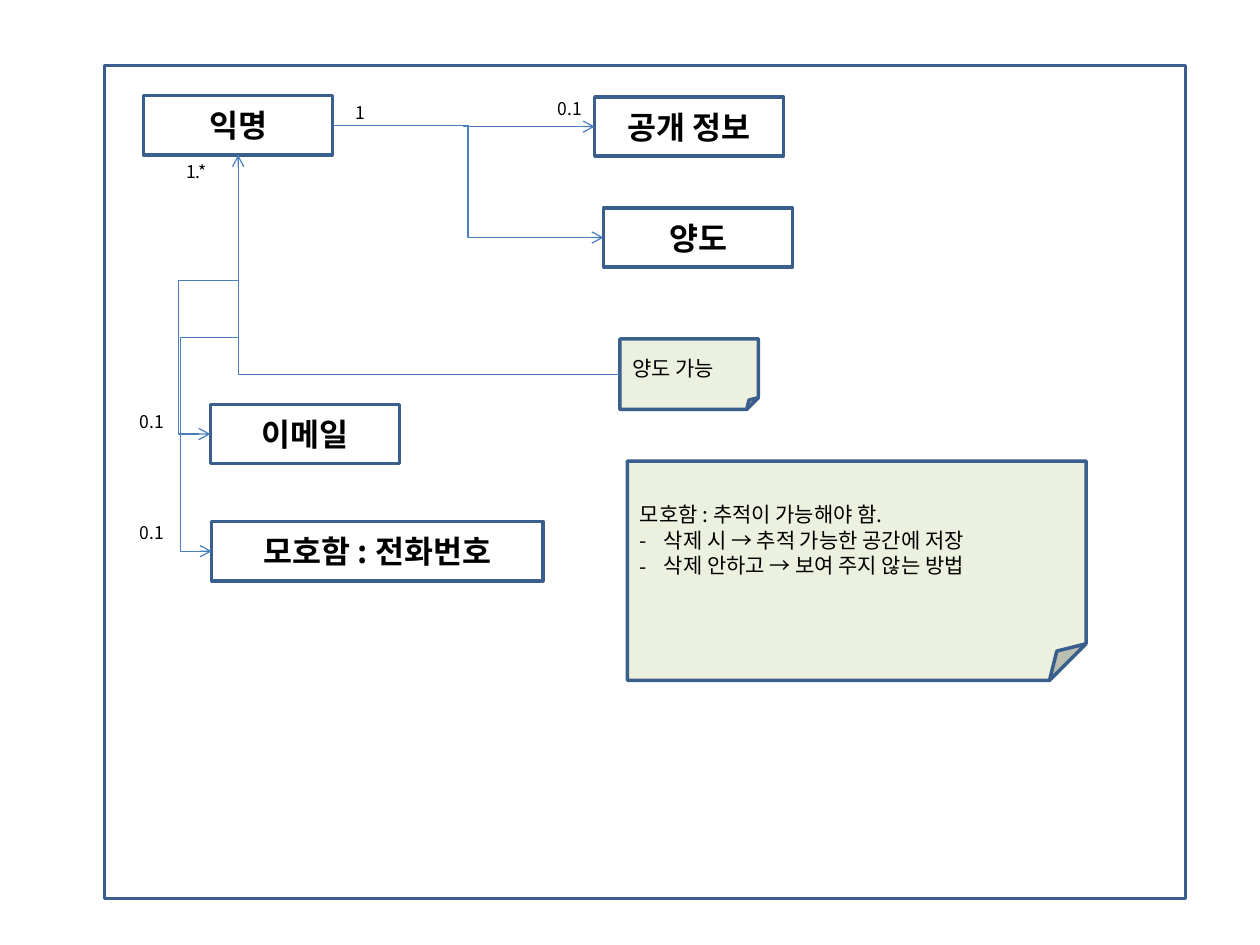
from pptx import Presentation
from pptx import util as u
from pptx.dml.color import RGBColor
from pptx.enum import shapes, text
from pptx.oxml.ns import qn
from lxml import etree

FONT = "Noto Sans CJK KR"
BORDER, ARROW, PAPER, INK = "3A5F8C", "4B7EBC", "EBF1DE", "000000"
COLUMNS, ROWS = 100, 75
CELL = u.Inches(10) // COLUMNS
TOP, LEFT, BOTTOM, RIGHT = range(4)
SIDE_SHARES = {TOP: (0.5, 0), LEFT: (0, 0.5), BOTTOM: (0.5, 1), RIGHT: (1, 0.5)}


def color(hex_code):
    return RGBColor.from_string(hex_code)


def cells(*counts):
    return [round(count * CELL) for count in counts]


def within(frame, box):
    """Turn a box relative to the frame into slide cells."""
    left, top, width, height = box
    return frame[0] + left, frame[1] + top, width, height


def write(frame, lines, size, bold=False, align=text.PP_ALIGN.LEFT,
          anchor=text.MSO_ANCHOR.MIDDLE, dashed_from=None):
    """Fill a text frame; lines from index dashed_from on get a dash bullet."""
    frame.word_wrap = True
    frame.vertical_anchor = anchor
    for index, line in enumerate(lines):
        paragraph = frame.paragraphs[0] if index == 0 else frame.add_paragraph()
        paragraph.alignment = align
        run = paragraph.add_run()
        run.text = line
        run.font.size, run.font.bold, run.font.name = u.Pt(size), bold, FONT
        run.font.color.rgb = color(INK)
        etree.SubElement(run.font._element, qn("a:ea"), typeface=FONT)
        if dashed_from is not None and index >= dashed_from:
            props = paragraph._p.get_or_add_pPr()
            indent = u.Inches(0.19)
            props.set("marL", str(indent))
            props.set("indent", str(-indent))
            etree.SubElement(props, qn("a:buFont"), typeface=FONT)
            etree.SubElement(props, qn("a:buChar"), char="-")


def outlined(slide, kind, box, fill=None):
    shape = slide.shapes.add_shape(kind, *cells(*box))
    shape.shadow.inherit = False
    shape.line.color.rgb = color(BORDER)
    shape.line.width = u.Pt(2)
    if fill:
        shape.fill.solid()
        shape.fill.fore_color.rgb = color(fill)
    else:
        shape.fill.background()
    return shape


def entity(slide, box, name):
    shape = outlined(slide, shapes.MSO_SHAPE.RECTANGLE, box)
    write(shape.text_frame, [name], 18, bold=True, align=text.PP_ALIGN.CENTER)
    return shape


def note(slide, box, lines, dashed_from=None, lift=0):
    """Place a note; lift is extra bottom inset in cells."""
    shape = outlined(slide, shapes.MSO_SHAPE.FOLDED_CORNER, box, PAPER)
    write(shape.text_frame, lines, 12, dashed_from=dashed_from)
    shape.text_frame.margin_bottom += cells(lift)[0]
    return shape


def multiplicity(slide, box, count):
    label = slide.shapes.add_textbox(*cells(*box)).text_frame
    label.margin_right = 0
    write(label, [count], 10, anchor=text.MSO_ANCHOR.TOP)


def port(shape, side):
    across, down = SIDE_SHARES[side]
    return (round(shape.left + across * shape.width),
            round(shape.top + down * shape.height))


def relation(slide, start, start_side, end, end_side, bend, turn=0, adjust=()):
    """Join two shapes with a bent arrow, rotated by turn degrees."""
    (x1, y1), (x2, y2) = port(start, start_side), port(end, end_side)
    arrow = slide.shapes.add_connector(shapes.MSO_CONNECTOR.ELBOW, x1, y1, x2, y2)
    arrow.begin_connect(start, start_side)
    arrow.end_connect(end, end_side)

    width, height = abs(x2 - x1), abs(y2 - y1)
    if turn == 90:
        width, height = height, width
    arrow.left, arrow.top = (x1 + x2 - width) // 2, (y1 + y2 - height) // 2
    arrow.width, arrow.height = width, height
    props = arrow._element.spPr
    transform = props.find(qn("a:xfrm"))
    for flip in ("flipH", "flipV"):
        transform.attrib.pop(flip, None)
    transform.set("rot", str(turn * 60000))

    geometry = props.find(qn("a:prstGeom"))
    geometry.set("prst", bend)
    guides = geometry.find(qn("a:avLst"))
    for number, share in enumerate(adjust, 1):
        etree.SubElement(guides, qn("a:gd"), name=f"adj{number}",
                         fmla=f"val {round(share * 100000)}")

    arrow.line.color.rgb = color(ARROW)
    arrow.line.width = u.Pt(0.75)
    etree.SubElement(arrow.line._get_or_add_ln(), qn("a:tailEnd"), type="arrow")
    etree.SubElement(props, qn("a:effectLst"))


def class_diagram(slide, frame):
    outlined(slide, shapes.MSO_SHAPE.RECTANGLE, frame)

    anonymous, public_info, transfer, email, phone = [
        entity(slide, within(frame, (left, top, width, 4.7)), name)
        for left, top, width, name in (
            (3.1, 2.4, 15, "익명"),
            (38.9, 2.5, 15, "공개 정보"),
            (39.6, 11.3, 15, "양도"),
            (8.4, 26.9, 15, "이메일"),
            (8.5, 36.2, 26.3, "모호함 : 전화번호"))]

    transferable = note(slide, within(frame, (40.9, 21.7, 11, 5.6)), ["양도 가능"])
    note(slide, within(frame, (41.5, 31.4, 36.4, 17.4)),
         ["모호함 : 추적이 가능해야 함.",
          "삭제 시 → 추적 가능한 공간에 저장",
          "삭제 안하고 → 보여 주지 않는 방법"], dashed_from=1, lift=2)

    for left, top, count in ((18.9, 2.4, "1"), (5.5, 7.1, "1.*"), (35, 2.1, "0.1"),
                             (1.8, 26.9, "0.1"), (1.8, 35.7, "0.1")):
        multiplicity(slide, within(frame, (left, top, 4.3, 2.8)), count)

    for target in (public_info, transfer):
        relation(slide, anonymous, RIGHT, target, LEFT, "bentConnector3", adjust=(0.5,))
    for target, adjust in ((email, (0.45, 2.15)), (phone, (0.46, 2.18))):
        relation(slide, anonymous, BOTTOM, target, LEFT, "bentConnector4", 90, adjust)
    relation(slide, transferable, LEFT, anonymous, BOTTOM, "bentConnector2", 180)


def main():
    deck = Presentation()
    deck.slide_width, deck.slide_height = cells(COLUMNS, ROWS)
    slide = deck.slides.add_slide(deck.slide_layouts[6])
    class_diagram(slide, (8.3, 5.2, 85.8, 66.1))
    deck.save("out.pptx")


if __name__ == "__main__":
    main()
